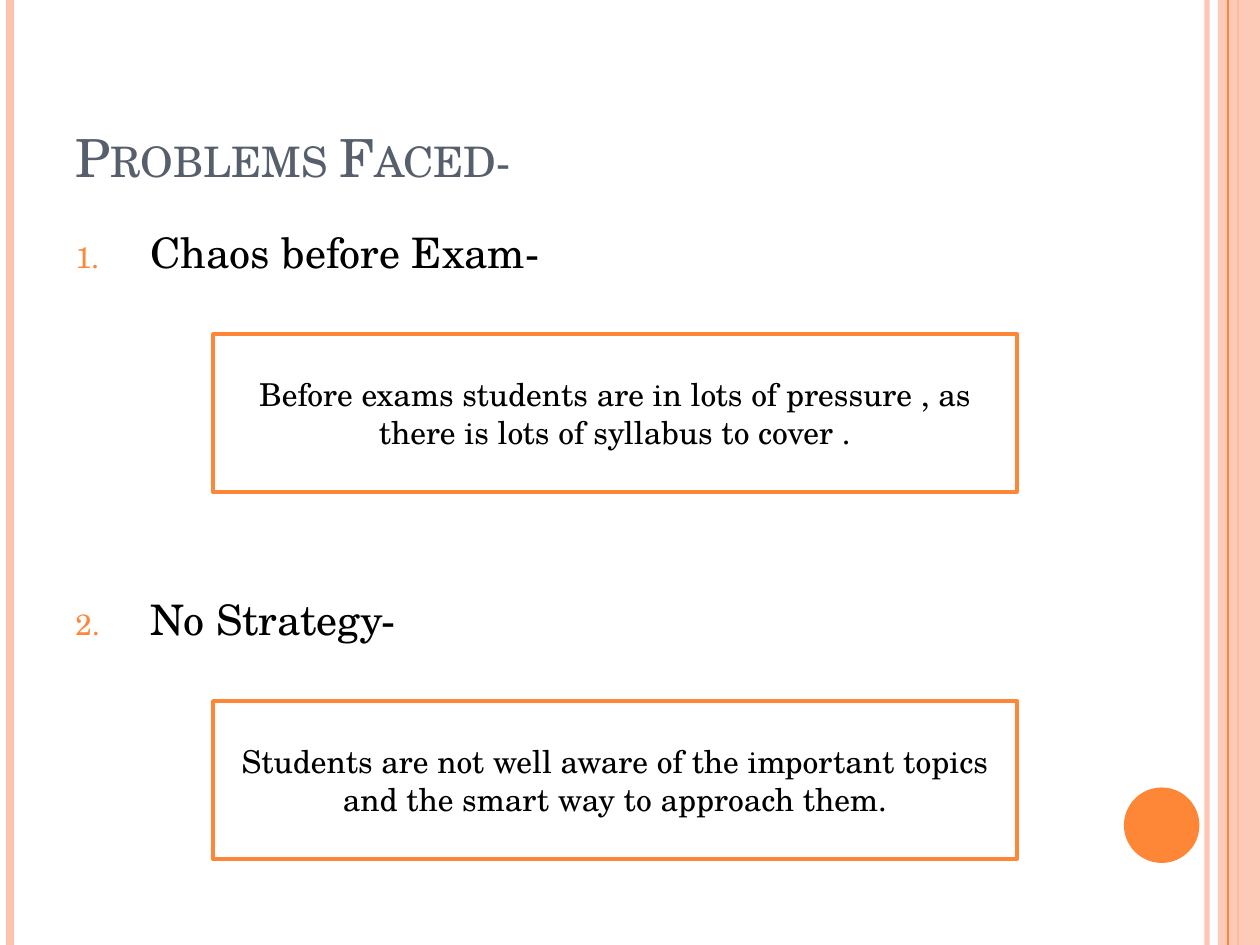
import pptx
import pptx.util
import pptx.dml.color
import pptx.enum.shapes
import pptx.enum.text
import pptx.oxml.ns
import lxml.etree

TITLE = "Problems Faced-"
PROBLEMS = [
    ("Chaos before Exam-",
     "Before exams students are in lots of pressure , as there is lots of syllabus to cover ."),
    ("No Strategy-",
     "Students are not well aware of the important topics and the smart way to approach them."),
]
COLOURS = {"orange": "FE8637", "peach": "FEC3AE", "slate": "575F6D",
           "black": "000000", "white": "FFFFFF"}
FONT = "TeX Gyre Schola"
WIDTH, HEIGHT = 1260, 945
LEFT_STRIPES = [(1207, "peach", 3, 93), (10, "peach", 4.5, 100), (1238, "orange", 1.5, 100)]
EDGE_STRIPES = [(1228, "orange", 0.75, 100)]
BAND = (1218, 0, 42, HEIGHT)
DOT = (1124, 787.5, 75.5, 75.5)
TITLE_BOX = (63, 37, 1029, 157)
HEADING_BOX = (63, 220.5, 1029, 68)
DETAIL_BOX = (213, 334, 804, 158)
PROBLEM_PITCH = 367
NUMBER_INDENT = 75

ANCHOR = pptx.enum.text.MSO_ANCHOR
ALIGN = pptx.enum.text.PP_ALIGN
SHAPE = pptx.enum.shapes.MSO_SHAPE


def px(length):
    return pptx.util.Emu(round(length * 914400 / 126))


def rgb(colour):
    return pptx.dml.color.RGBColor.from_string(COLOURS[colour])


def add_xml(parent, tag, **attributes):
    child = lxml.etree.SubElement(parent, pptx.oxml.ns.qn(tag))
    for key, value in attributes.items():
        child.set(key, str(value))
    return child


def set_opacity(owner, percent):
    if percent < 100:
        tint = next(owner.iter(pptx.oxml.ns.qn("a:srgbClr")))
        add_xml(tint, "a:alpha", val=percent * 1000)


def write(holder, text, size, colour="black", anchor=ANCHOR.TOP, align=ALIGN.LEFT,
          small_caps=False, number=None):
    frame = holder.text_frame
    frame.word_wrap = True
    frame.vertical_anchor = anchor
    paragraph = frame.paragraphs[0]
    paragraph.alignment = align
    run = paragraph.add_run()
    run.text = text
    run.font.name = FONT
    run.font.size = pptx.util.Pt(size)
    run.font.color.rgb = rgb(colour)
    if small_caps:
        run.font._element.set("cap", "small")
    if number:
        paragraph.space_before = pptx.util.Pt(6)
        properties = paragraph._p.get_or_add_pPr()
        properties.set("marL", str(px(NUMBER_INDENT)))
        properties.set("indent", str(-px(NUMBER_INDENT)))
        add_xml(add_xml(properties, "a:buClr"), "a:srgbClr", val=COLOURS["orange"])
        add_xml(properties, "a:buSzPct", val=70000)
        add_xml(properties, "a:buFont", typeface=FONT)
        add_xml(properties, "a:buAutoNum", type="arabicPeriod", startAt=number)


def add_stripes(stripes):
    for x, colour, weight, opacity in stripes:
        stripe = slide.shapes.add_connector(
            pptx.enum.shapes.MSO_CONNECTOR.STRAIGHT, px(x), 0, px(x), px(HEIGHT))
        stripe.line.color.rgb = rgb(colour)
        stripe.line.width = pptx.util.Pt(weight)
        set_opacity(stripe._element.spPr, opacity)
        add_xml(stripe._element.spPr, "a:effectLst")


def add_box(box):
    return slide.shapes.add_textbox(*map(px, box))


def add_filled(kind, box, fill, outline=None, opacity=100):
    filled = slide.shapes.add_shape(kind, *map(px, box))
    filled.shadow.inherit = False
    filled.fill.solid()
    filled.fill.fore_color.rgb = rgb(fill)
    set_opacity(filled._element.spPr, opacity)
    if outline:
        filled.line.color.rgb = rgb(outline)
        filled.line.width = pptx.util.Pt(2)
    else:
        filled.line.fill.background()
    return filled


def lowered(box, drop):
    left, top, width, height = box
    return left, top + drop, width, height


deck = pptx.Presentation()
deck.slide_width, deck.slide_height = px(WIDTH), px(HEIGHT)
slide = deck.slides.add_slide(deck.slide_layouts[6])

add_stripes(LEFT_STRIPES)
add_filled(SHAPE.RECTANGLE, BAND, "peach", opacity=87)
add_stripes(EDGE_STRIPES)
add_filled(SHAPE.OVAL, DOT, "orange")

write(add_box(TITLE_BOX), TITLE, 30, colour="slate", anchor=ANCHOR.BOTTOM, small_caps=True)
for index, (heading, detail) in enumerate(PROBLEMS):
    drop = index * PROBLEM_PITCH
    write(add_box(lowered(HEADING_BOX, drop)), heading, 24, number=index + 1)
    detail_box = add_filled(SHAPE.RECTANGLE, lowered(DETAIL_BOX, drop), "white", outline="orange")
    write(detail_box, detail, 18, anchor=ANCHOR.MIDDLE, align=ALIGN.CENTER)

deck.save("out.pptx")
